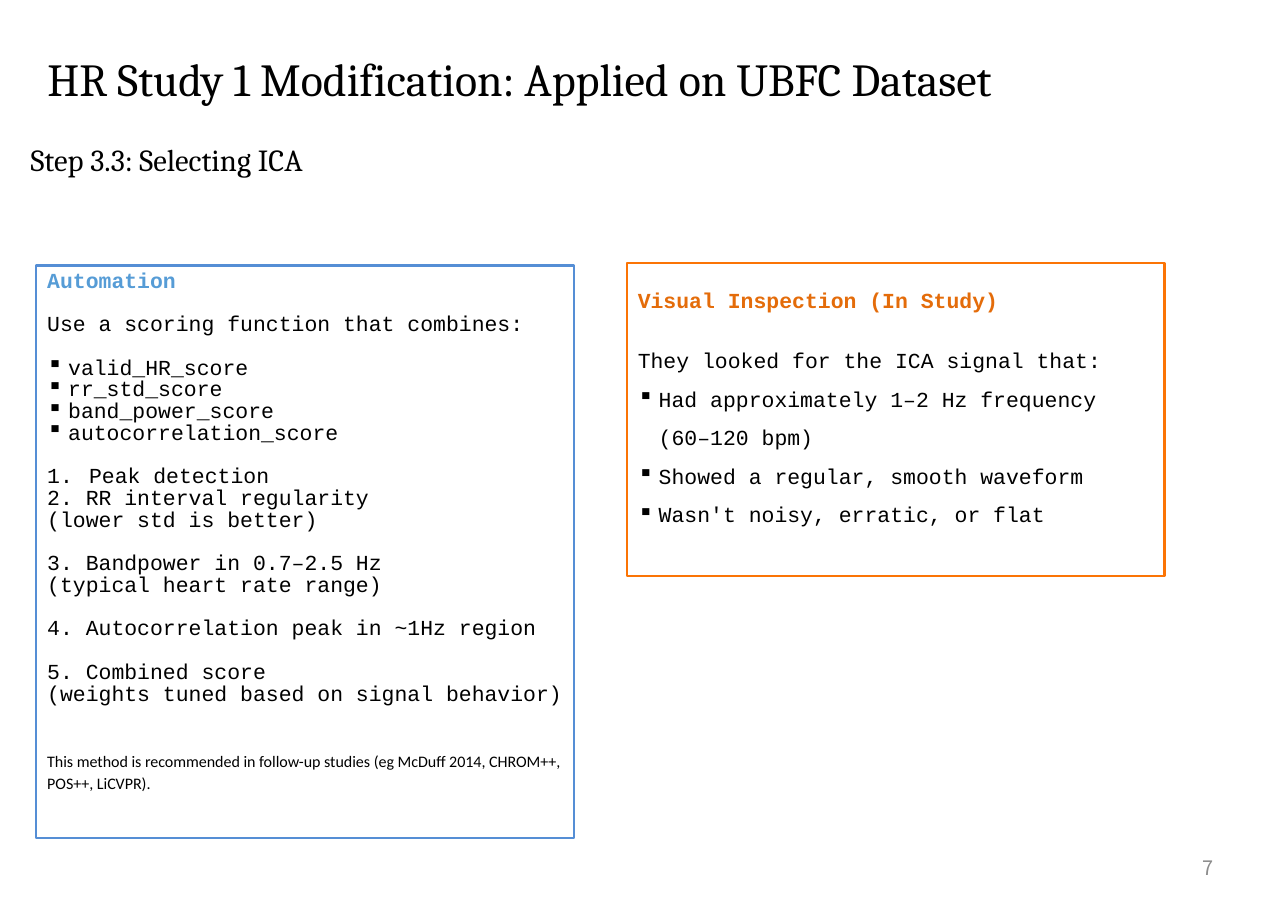
from typing import NamedTuple

from lxml import etree
from pptx import Presentation
from pptx import util as u
from pptx.dml import color
from pptx.enum import shapes, text
from pptx.oxml import ns

BLACK = "000000"
LINE_PITCH = 14.2
BULLET = ("buChar", {"char": "▪"})
NUMBER = ("buAutoNum", {"type": "arabicPeriod"})


class Line(NamedTuple):
    words: str
    gap: int = 0
    marker: tuple = None
    indent: float = 0.19
    spacing: object = u.Pt(LINE_PITCH)
    font: str = "Courier New"
    size: float = 14
    colour: str = BLACK
    bold: bool = False
    align: object = text.PP_ALIGN.LEFT


AUTOMATION = [
    Line("Automation", colour="569CD6", bold=True),
    Line("Use a scoring function that combines:", gap=1),
    Line("valid_HR_score", gap=1, marker=BULLET),
    Line("rr_std_score", marker=BULLET),
    Line("band_power_score", marker=BULLET),
    Line("autocorrelation_score", marker=BULLET),
    Line("Peak detection", gap=1, marker=NUMBER, indent=0.38),
    Line("2. RR interval regularity\n(lower std is better)"),
    Line("3. Bandpower in 0.7–2.5 Hz", gap=1),
    Line("(typical heart rate range)"),
    Line("4. Autocorrelation peak in ~1Hz region", gap=1),
    Line("5. Combined score", gap=1),
    Line("(weights tuned based on signal behavior)"),
    Line("This method is recommended in follow-up studies "
         "(eg McDuff 2014, CHROM++, POS++, LiCVPR).",
         gap=2, font="Calibri", size=10.5),
]

INSPECTION = [
    Line("Visual Inspection (In Study)", colour="E46C0A", bold=True),
    Line("They looked for the ICA signal that:", gap=1, spacing=1.5),
    Line("Had approximately 1–2 Hz frequency\n(60–120 bpm)", marker=BULLET, spacing=1.5),
    Line("Showed a regular, smooth waveform", marker=BULLET, spacing=1.5),
    Line("Wasn't noisy, erratic, or flat", marker=BULLET, spacing=1.5),
]


def rgb(value):
    return color.RGBColor.from_string(value)


def place(shape, box):
    shape.left, shape.top, shape.width, shape.height = map(u.Inches, box)


def add_marker(paragraph, line):
    properties = paragraph._p.get_or_add_pPr()
    indent = u.Inches(line.indent)
    properties.set("marL", str(indent))
    properties.set("indent", str(-indent))
    tag, attributes = line.marker
    etree.SubElement(properties, ns.qn(f"a:{tag}"), attributes)


def write_lines(frame, lines, anchor=text.MSO_ANCHOR.TOP, top_inset=0.05):
    frame.word_wrap = True
    frame.auto_size = text.MSO_AUTO_SIZE.NONE
    frame.vertical_anchor = anchor
    frame.margin_top = u.Inches(top_inset)
    for index, line in enumerate(lines):
        paragraph = frame.add_paragraph() if index else frame.paragraphs[0]
        if line.marker:
            add_marker(paragraph, line)
        paragraph.alignment = line.align
        paragraph.line_spacing = line.spacing
        paragraph.space_before = u.Pt(line.gap * LINE_PITCH)
        for part, words in enumerate(line.words.split("\n")):
            if part:
                paragraph.add_line_break()
            run = paragraph.add_run()
            run.text = words
            run.font.name = line.font
            run.font.size = u.Pt(line.size)
            run.font.bold = line.bold
            run.font.color.rgb = rgb(line.colour)


def add_title(slide, box, words):
    title = slide.shapes.title
    place(title, box)
    write_lines(title.text_frame, [Line(words, font="Cambria", size=30, spacing=1.5)])


def add_label(slide, box, line, anchor=text.MSO_ANCHOR.TOP):
    label = slide.shapes.add_textbox(*map(u.Inches, box))
    write_lines(label.text_frame, [line], anchor)


def add_panel(slide, box, outline, lines, top_inset=0.05):
    panel = slide.shapes.add_shape(shapes.MSO_SHAPE.RECTANGLE, *map(u.Inches, box))
    panel.shadow.inherit = False
    panel.fill.background()
    panel.line.color.rgb = rgb(outline)
    panel.line.width = u.Pt(1.5)
    write_lines(panel.text_frame, lines, top_inset=top_inset)


def main():
    presentation = Presentation()
    presentation.slide_width = u.Inches(11.69)
    presentation.slide_height = u.Inches(8.27)
    slide = presentation.slides.add_slide(presentation.slide_layouts.get_by_name("Title Only"))
    add_title(slide, (0.33, 0.16, 9.11, 0.78),
              "HR Study 1 Modification: Applied on UBFC Dataset")
    add_label(slide, (8.38, 7.66, 2.73, 0.44),
              Line("7", font="Noto Sans CJK KR", size=13, colour="8C8C8C",
                   spacing=1.0, align=text.PP_ALIGN.RIGHT),
              text.MSO_ANCHOR.MIDDLE)
    add_label(slide, (0.18, 1.23, 8.66, 0.44),
              Line("Step 3.3: Selecting ICA", font="Cambria", size=20, spacing=1.0))
    add_panel(slide, (0.33, 2.41, 4.88, 5.2), "558ED5", AUTOMATION)
    add_panel(slide, (5.69, 2.39, 4.88, 2.84), "FB7405", INSPECTION, top_inset=0.25)
    presentation.save("out.pptx")


if __name__ == "__main__":
    main()
